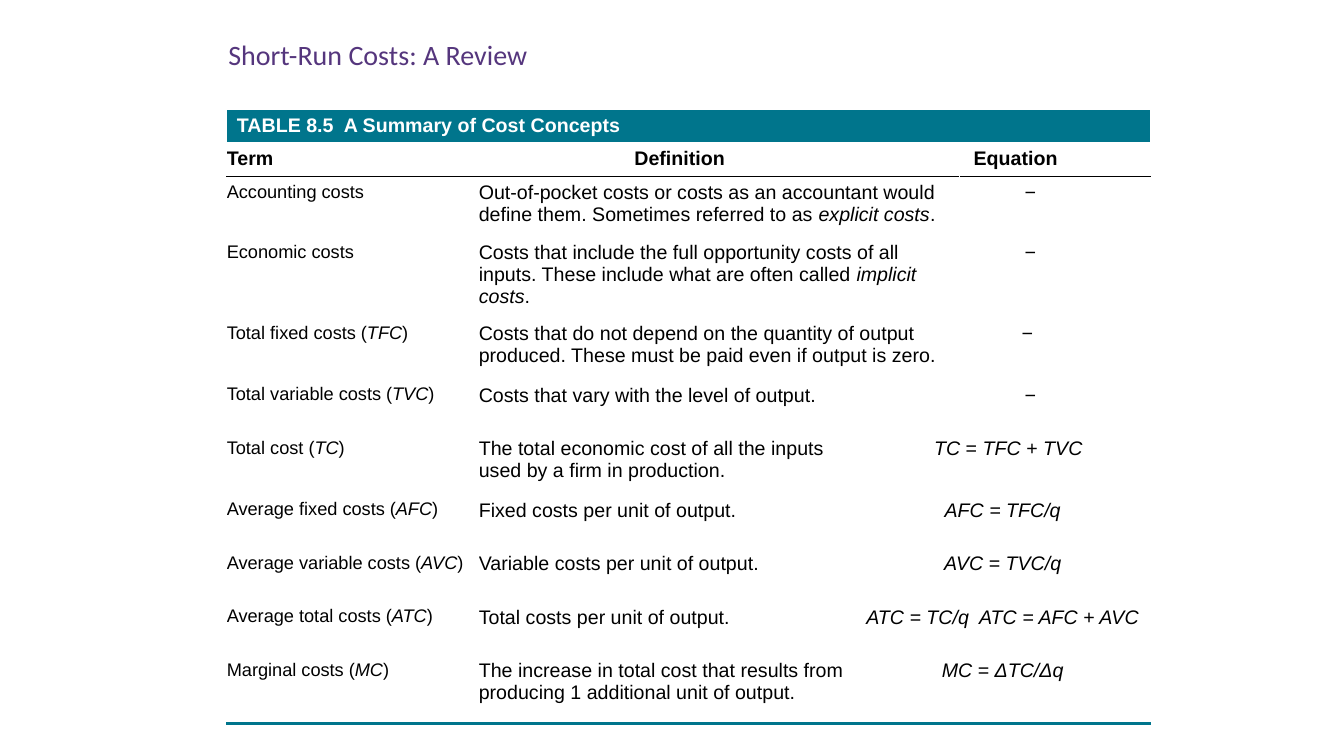
from lxml import etree
from pptx import Presentation
from pptx.dml.color import RGBColor
from pptx.enum.text import MSO_ANCHOR, PP_ALIGN
from pptx.oxml.ns import qn
from pptx.util import Pt

LEFT, CENTER = PP_ALIGN.LEFT, PP_ALIGN.CENTER
TOP = MSO_ANCHOR.TOP
COLORS = {"teal": "00758C", "purple": "55367D", "black": "000000", "white": "FFFFFF"}

COLUMNS = [180, 268.5, 18.5, 56.5, 136.5]
ROWS = [24, 24, 43.2, 57.6, 44, 38.2, 44, 38.2, 38.2, 38.2, 49]
DASH = "*−*"

# Term, definition, equation, left and right inset of the equation; *...* is italic
COSTS = [
    ("Accounting costs",
     "Out-of-pocket costs or costs as an accountant would define them. "
     "Sometimes referred to as *explicit costs*.", DASH, 0, 36),
    ("Economic costs",
     "Costs that include the full opportunity costs of all inputs. "
     "These include what are often called *implicit costs*.", DASH, 0, 36),
    ("Total fixed costs (*TFC*)",
     "Costs that do not depend on the quantity of output produced. "
     "These must be paid even if output is zero.", DASH, 0, 40),
    ("Total variable costs (*TVC*)",
     "Costs that vary with the level of output.", DASH, 0, 36),
    ("Total cost (*TC*)",
     "The total economic cost of all the inputs used by a firm in production.",
     "*TC* = *TFC* + *TVC*", 8, 0),
    ("Average fixed costs (*AFC*)", "Fixed costs per unit of output.",
     "*AFC = TFC/q*", 0, 0),
    ("Average variable costs (*AVC*)", "Variable costs per unit of output.",
     "*AVC = TVC/q*", 0, 0),
    ("Average total costs (*ATC*)", "Total costs per unit of output.",
     "*ATC = TC/q  ATC = AFC + AVC*", 0, 0),
    ("Marginal costs (*MC*)",
     "The increase in total cost that results from producing 1 additional unit of output.",
     "*MC = ΔTC/Δq*", 0, 0),
]


class Slide:
    """Holds the text style and the current slide."""

    def __init__(self, prs):
        self.s = prs.slides.add_slide(prs.slide_layouts[6])
        self.style = {"name": "Arial", "size": Pt(14), "bold": False}

    def fill_text(self, tf, text, color="black", align=LEFT, **fmt):
        p = tf.paragraphs[0]
        p.alignment = align
        p.space_before = p.space_after = Pt(1.4)
        for i, part in enumerate(text.split("*")):
            if part:
                r = p.add_run()
                r.text = part
                r.font.color.rgb = RGBColor.from_string(COLORS[color])
                for key, value in {**self.style, "italic": i % 2 == 1, **fmt}.items():
                    setattr(r.font, key, value)

    def text(self, x, y, w, h, text, **fmt):
        sp = self.s.shapes.add_textbox(Pt(x), Pt(y), Pt(w), Pt(h))
        sp.text_frame.word_wrap = True
        self.fill_text(sp.text_frame, text, **fmt)

    def table(self, x, y, columns, rows):
        tbl = self.s.shapes.add_table(len(rows), len(columns), Pt(x), Pt(y),
                                      Pt(sum(columns)), Pt(sum(rows))).table
        tbl.first_row = tbl.horz_banding = False
        for column, w in zip(tbl.columns, columns):
            column.width = Pt(w)
        for row, h in zip(tbl.rows, rows):
            row.height = Pt(h)
        for cell in tbl.iter_cells():
            cell.fill.background()
        return tbl

    def cell(self, tbl, row, first, last, text, left=0, right=7.2, **fmt):
        cell = tbl.cell(row, first)
        if last > first:
            cell.merge(tbl.cell(row, last))
        cell.margin_left, cell.margin_right = Pt(left), Pt(right)
        cell.vertical_anchor = TOP
        self.fill_text(cell.text_frame, text, **fmt)
        return cell

    def border(self, tbl, row, side, color, width):
        for col in range(len(tbl.columns)):
            tcPr = tbl.cell(row, col)._tc.get_or_add_tcPr()
            ln = etree.Element(qn("a:" + side), w=str(Pt(width)))
            fill = etree.SubElement(ln, qn("a:solidFill"))
            etree.SubElement(fill, qn("a:srgbClr"), val=COLORS[color])
            tcPr.insert(0, ln)


prs = Presentation()
prs.slide_width, prs.slide_height = Pt(960), Pt(540)
slide = Slide(prs)

# Title
slide.text(156, 23, 504, 30, "Short-Run Costs: A Review",
           color="purple", name="Calibri", size=Pt(20))

# Table heading and column heads
tbl = slide.table(162, 78, COLUMNS, ROWS)
heading = slide.cell(tbl, 0, 0, 4, "TABLE 8.5  A Summary of Cost Concepts",
                     left=7.2, color="white", bold=True)
heading.fill.solid()
heading.fill.fore_color.rgb = RGBColor.from_string(COLORS["teal"])
slide.cell(tbl, 1, 0, 0, "Term", bold=True)
slide.cell(tbl, 1, 1, 2, "Definition", left=7.2, align=CENTER, bold=True)
slide.cell(tbl, 1, 3, 4, "Equation", right=0, align=CENTER, bold=True)

# Cost rows: a definition without an equation runs on to the last column
for row, (term, definition, equation, left, right) in enumerate(COSTS, 2):
    split = 4 if equation == DASH else 2
    slide.cell(tbl, row, 0, 0, term, size=Pt(13))
    slide.cell(tbl, row, 1, split - 1, definition)
    slide.cell(tbl, row, split, 4, equation, left=left, right=right, align=CENTER)

# Rules
slide.border(tbl, 1, "lnB", "black", 1)
slide.border(tbl, 2, "lnT", "black", 1)
slide.border(tbl, len(ROWS) - 1, "lnB", "teal", 2.25)

prs.save("out.pptx")
